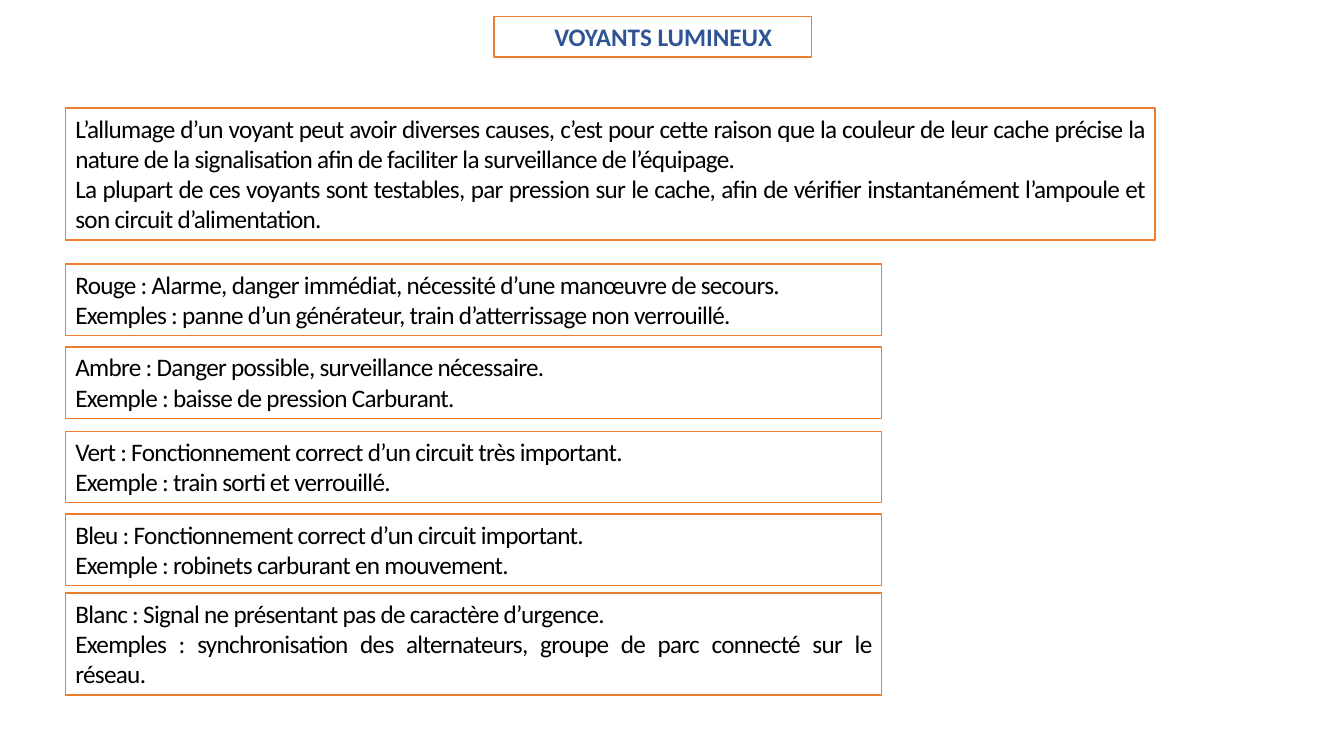
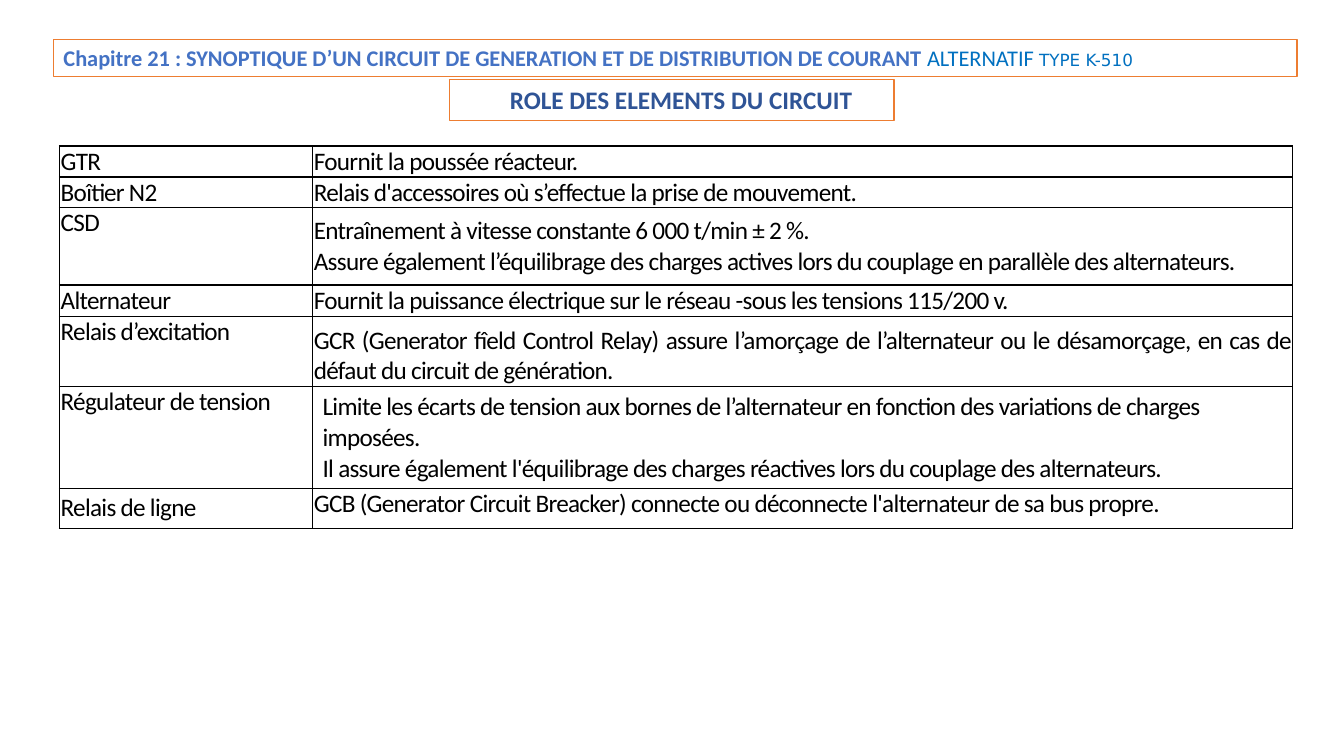
from lxml.etree import SubElement
from pptx import Presentation
from pptx.dml.color import RGBColor
from pptx.enum.text import MSO_ANCHOR, MSO_AUTO_SIZE, PP_ALIGN
from pptx.oxml.ns import qn
from pptx.util import Cm, Pt

COLORS = {
    "white": "FFFFFF",
    "black": "000000",
    "orange": "ED7D31",
    "title": "2F5496",
    "chapter": "4472C4",
    "blue": "0070C0",
}
FONT = "Calibri"
LEFT, JUSTIFY = PP_ALIGN.LEFT, PP_ALIGN.JUSTIFY
TOP, MIDDLE, BOTTOM = MSO_ANCHOR.TOP, MSO_ANCHOR.MIDDLE, MSO_ANCHOR.BOTTOM

INTRO = [
    "L’allumage d’un voyant peut avoir diverses causes, c’est pour cette raison que la couleur de leur cache précise la nature de la signalisation afin de faciliter la surveillance de l’équipage.",
    "La plupart de ces voyants sont testables, par pression sur le cache, afin de vérifier instantanément l’ampoule et son circuit d’alimentation.",
]
LIGHTS = [
    (6.65, 1.8, ["Rouge : Alarme, danger immédiat, nécessité d’une manœuvre de secours.",
                 "Exemples : panne d’un générateur, train d’atterrissage non verrouillé."]),
    (8.74, 1.8, ["Ambre : Danger possible, surveillance nécessaire.",
                 "Exemple : baisse de pression Carburant."]),
    (10.87, 1.8, ["Vert : Fonctionnement correct d’un circuit très important.",
                  "Exemple : train sorti et verrouillé."]),
    (12.95, 1.8, ["Bleu : Fonctionnement correct d’un circuit important.",
                  "Exemple : robinets carburant en mouvement."]),
    (14.94, 2.57, ["Blanc : Signal ne présentant pas de caractère d’urgence.",
                   "Exemples : synchronisation des alternateurs, groupe de parc connecté sur le réseau."]),
]
CHAPTER = [
    ("Chapitre 21 : SYNOPTIQUE D’UN CIRCUIT DE GENERATION ET DE DISTRIBUTION DE COURANT ", 16, "chapter", True, FONT),
    ("ALTERNATIF ", 16, "blue", False, FONT),
    ("TYPE K-510", 12, "blue", False, "DejaVu Sans"),
]
TIGHT, WIDE = (0.03, 0), (0.25, 0.13)
COLUMNS = [6.38, 24.69]
ROWS = [
    (0.78, ("GTR", TOP), ("Fournit la poussée réacteur.", TOP, JUSTIFY, TIGHT)),
    (0.77, ("Boîtier N2", MIDDLE),
     ("Relais d'accessoires où s’effectue la prise de mouvement.", MIDDLE, JUSTIFY, TIGHT)),
    (1.95, ("CSD", TOP),
     ("Entraînement à vitesse constante 6 000 t/min ± 2 %.\n"
      "Assure également l’équilibrage des charges actives lors du couplage en parallèle des alternateurs.",
      MIDDLE, JUSTIFY, TIGHT)),
    (0.79, ("Alternateur", MIDDLE),
     ("Fournit la puissance électrique sur le réseau -sous les tensions 115/200 v.", MIDDLE, JUSTIFY, TIGHT)),
    (1.77, ("Relais d’excitation", TOP),
     ("GCR (Generator fîeld Control Relay) assure l’amorçage de l’alternateur ou le désamorçage, en cas de défaut du circuit de génération.",
      BOTTOM, JUSTIFY, TIGHT)),
    (2.56, ("Régulateur de tension", TOP),
     ("Limite les écarts de tension aux bornes de l’alternateur en fonction des variations de charges imposées.\n"
      "Il assure également l'équilibrage des charges réactives lors du couplage des alternateurs.",
      TOP, LEFT, WIDE)),
    (1.01, ("Relais de ligne", MIDDLE),
     ("GCB (Generator Circuit Breacker) connecte ou déconnecte l'alternateur de sa bus propre.", TOP, LEFT, TIGHT)),
]


def rgb(name):
    return RGBColor.from_string(COLORS[name])


def style_run(r, size, color, bold=False, font=FONT):
    r.font.size = Pt(size)
    r.font.name = font
    r.font.bold = bold
    r.font.color.rgb = rgb(color)


def write_body(tf, text, align):
    tf.text = text
    for p in tf.paragraphs:
        p.alignment = align
        for r in p.runs:
            style_run(r, 18, "black")
            r.font._element.set("spc", "-50")


def add_box(s, left, top, width, height):
    sp = s.shapes.add_textbox(Cm(left), Cm(top), Cm(width), Cm(height))
    sp.fill.solid()
    sp.fill.fore_color.rgb = rgb("white")
    sp.line.color.rgb = rgb("orange")
    sp.line.width = Pt(1)
    tf = sp.text_frame
    tf.word_wrap = True
    tf.auto_size = MSO_AUTO_SIZE.SHAPE_TO_FIT_TEXT
    return tf


def add_title(s, text, left, top, width):
    tf = add_box(s, left, top, width, 1.03)
    tf.margin_left = Cm(1.52)
    tf.text = text
    style_run(tf.paragraphs[0].runs[0], 18, "title", True)


def add_chapter(s):
    p = add_box(s, 1.35, 0.99, 31.34, 0.94).paragraphs[0]
    for text, *style in CHAPTER:
        r = p.add_run()
        r.text = text
        style_run(r, *style)


def add_borders(cell):
    tcPr = cell._tc.get_or_add_tcPr()
    for side in ("lnL", "lnR", "lnT", "lnB"):
        ln = SubElement(tcPr, qn(f"a:{side}"), w=str(Pt(1)))
        fill = SubElement(ln, qn("a:solidFill"))
        SubElement(fill, qn("a:srgbClr"), val=COLORS["black"])


def fill_cell(cell, text, anchor, align=LEFT, margins=TIGHT):
    side, end = margins
    cell.margin_left = cell.margin_right = Cm(side)
    cell.margin_top = cell.margin_bottom = Cm(end)
    cell.vertical_anchor = anchor
    add_borders(cell)
    cell.fill.background()
    write_body(cell.text_frame, text, align)


def add_roles(s):
    height = sum(row[0] for row in ROWS)
    table = s.shapes.add_table(len(ROWS), len(COLUMNS), Cm(1.5), Cm(3.68),
                               Cm(sum(COLUMNS)), Cm(height)).table
    table.first_row = table.horz_banding = False
    for column, width in zip(table.columns, COLUMNS):
        column.width = Cm(width)
    for row, (height, *cells) in zip(table.rows, ROWS):
        row.height = Cm(height)
        for cell, content in zip(row.cells, cells):
            fill_cell(cell, *content)


def main():
    prs = Presentation()
    prs.slide_width, prs.slide_height = Cm(33.87), Cm(19.05)
    blank = prs.slide_layouts[6]

    s = prs.slides.add_slide(blank)
    add_title(s, "VOYANTS LUMINEUX", 12.45, 0.41, 8)
    for top, height, lines in LIGHTS:
        write_body(add_box(s, 1.65, top, 20.57, height), "\n".join(lines), JUSTIFY)
    write_body(add_box(s, 1.65, 2.72, 27.46, 3.33), "\n".join(INTRO), JUSTIFY)

    s = prs.slides.add_slide(blank)
    add_chapter(s)
    add_roles(s)
    add_title(s, "ROLE DES ELEMENTS DU CIRCUIT", 11.33, 2.01, 11.2)

    prs.save("out.pptx")


if __name__ == "__main__":
    main()
